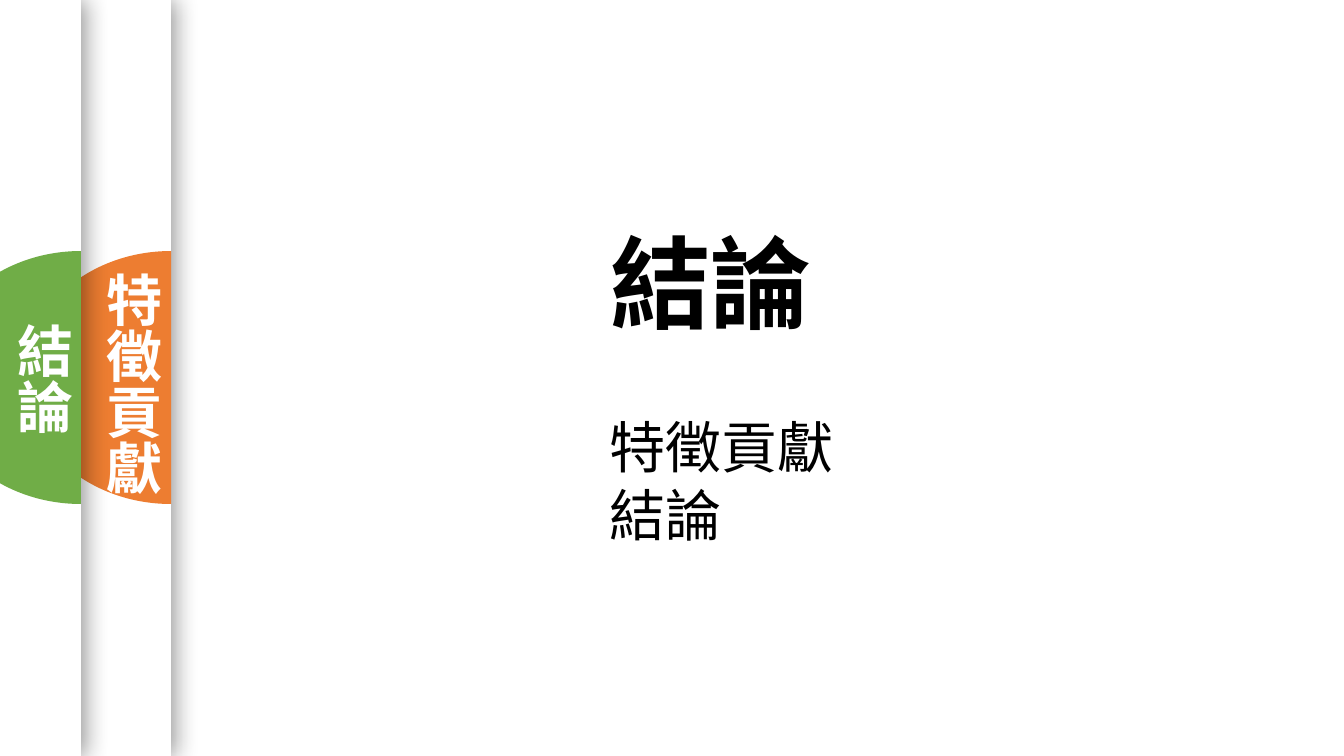
from dataclasses import dataclass

from pptx import Presentation
from pptx.dml.color import RGBColor
from pptx.enum.shapes import MSO_SHAPE as Preset
from pptx.enum.text import MSO_ANCHOR as Anchor, MSO_AUTO_SIZE as Fit, PP_ALIGN as Align
from pptx.oxml import parse_xml
from pptx.oxml.ns import nsdecls, qn
from pptx.shapes.autoshape import Shape
from pptx.shapes.shapetree import SlideShapes
from pptx.slide import Slide
from pptx.text.text import TextFrame
from pptx.util import Emu, Pt

WIDE, HIGH = 1344, 756
SCALE = 12192000 / WIDE
FONT = "Noto Sans CJK TC"
HEX = {
    "white": "FFFFFF",
    "black": "000000",
    "orange": "ED7D31",
    "green": "70AD47",
}
TAB_W, TAB_H = 148, 253
TAB_TOP = 251
BEND = 0.55


@dataclass
class Panel:
    edge: int
    hue: str
    label: str
    left: int
    top: int


PANELS = [
    Panel(171, "orange", "特徵貢獻", 82, 262),
    Panel(81, "green", "結論", -7, 313),
]


def px(size: float) -> Emu:
    return Emu(round(size * SCALE))


def paint(shape: Shape, hue: str) -> None:
    shape.fill.solid()
    shape.fill.fore_color.rgb = RGBColor.from_string(HEX[hue])
    shape.line.fill.background()
    shape.shadow.inherit = False


def style(frame: TextFrame, size: int, hue: str, bold: bool) -> None:
    frame.auto_size = Fit.SHAPE_TO_FIT_TEXT
    frame.vertical_anchor = Anchor.TOP
    for para in frame.paragraphs:
        para.alignment = Align.LEFT
        for run in para.runs:
            font = run.font
            font.name = FONT
            font.size = Pt(size)
            font.bold = bold
            font.color.rgb = RGBColor.from_string(HEX[hue])
            east = parse_xml(f'<a:ea {nsdecls("a")} typeface="{FONT}"/>')
            run._r.rPr.find(qn("a:latin")).addnext(east)


def add_sheet(shapes: SlideShapes, edge: int) -> None:
    sheet = shapes.add_shape(Preset.RECTANGLE, px(edge - WIDE), 0, px(WIDE), px(HIGH))
    paint(sheet, "white")
    shade = parse_xml(
        f'<a:outerShdw {nsdecls("a")} blurRad="{Pt(17)}" dist="{Pt(3)}" dir="0" '
        f'algn="l" rotWithShape="0"><a:srgbClr val="{HEX["black"]}">'
        '<a:alpha val="40000"/></a:srgbClr></a:outerShdw>'
    )
    sheet._element.spPr.find(qn("a:effectLst")).append(shade)


def curve(*points: tuple[float, float]) -> str:
    dots = "".join(f'<a:pt x="{px(x)}" y="{px(y)}"/>' for x, y in points)
    return f'<a:cubicBezTo {nsdecls("a")}>{dots}</a:cubicBezTo>'


def add_tab(shapes: SlideShapes, edge: int, hue: str) -> None:
    mid = TAB_H / 2
    near, rise = TAB_W * (1 - BEND), mid * BEND
    base = TAB_TOP + TAB_H
    outline = shapes.build_freeform(px(edge), px(TAB_TOP))
    corners = [(edge, base), (edge - TAB_W, TAB_TOP + mid), (edge, TAB_TOP)]
    outline.add_line_segments([(px(x), px(y)) for x, y in corners], close=True)
    tab = outline.convert_to_shape()
    lines = list(tab._element.spPr.iter(qn("a:lnTo")))
    arcs = [
        curve((near, TAB_H), (0, mid + rise), (0, mid)),
        curve((0, mid - rise), (near, 0), (TAB_W, 0)),
    ]
    for line, arc in zip(lines[1:], arcs):
        line.getparent().replace(line, parse_xml(arc))
    paint(tab, hue)


def add_text(
    shapes: SlideShapes, text: str, box: tuple[int, int, int, int], hue: str, bold: bool
) -> TextFrame:
    frame = shapes.add_textbox(*map(px, box)).text_frame
    frame.word_wrap = True
    frame.text = text
    style(frame, 40, hue, bold)
    return frame


def add_panel(shapes: SlideShapes, panel: Panel) -> None:
    add_sheet(shapes, panel.edge)
    add_tab(shapes, panel.edge, panel.hue)
    box = (panel.left, panel.top, 89, 318)
    frame = add_text(shapes, panel.label, box, "white", True)
    frame._txBody.bodyPr.set("vert", "eaVert")


def set_title(slide: Slide, text: str) -> None:
    title = slide.shapes.title
    title.left, title.top, title.width, title.height = map(px, (600, 216, 224, 132))
    title.text_frame.text = text
    title.text_frame.word_wrap = False
    style(title.text_frame, 72, "black", True)


def main() -> None:
    deck = Presentation()
    deck.slide_width, deck.slide_height = px(WIDE), px(HIGH)
    slide = deck.slides.add_slide(deck.slide_layouts[5])
    set_title(slide, "結論")
    for panel in PANELS:
        add_panel(slide.shapes, panel)
    topics = "\n".join(panel.label for panel in PANELS)
    add_text(slide.shapes, topics, (600, 408, 633, 146), "black", False)
    deck.save("out.pptx")


if __name__ == "__main__":
    main()
